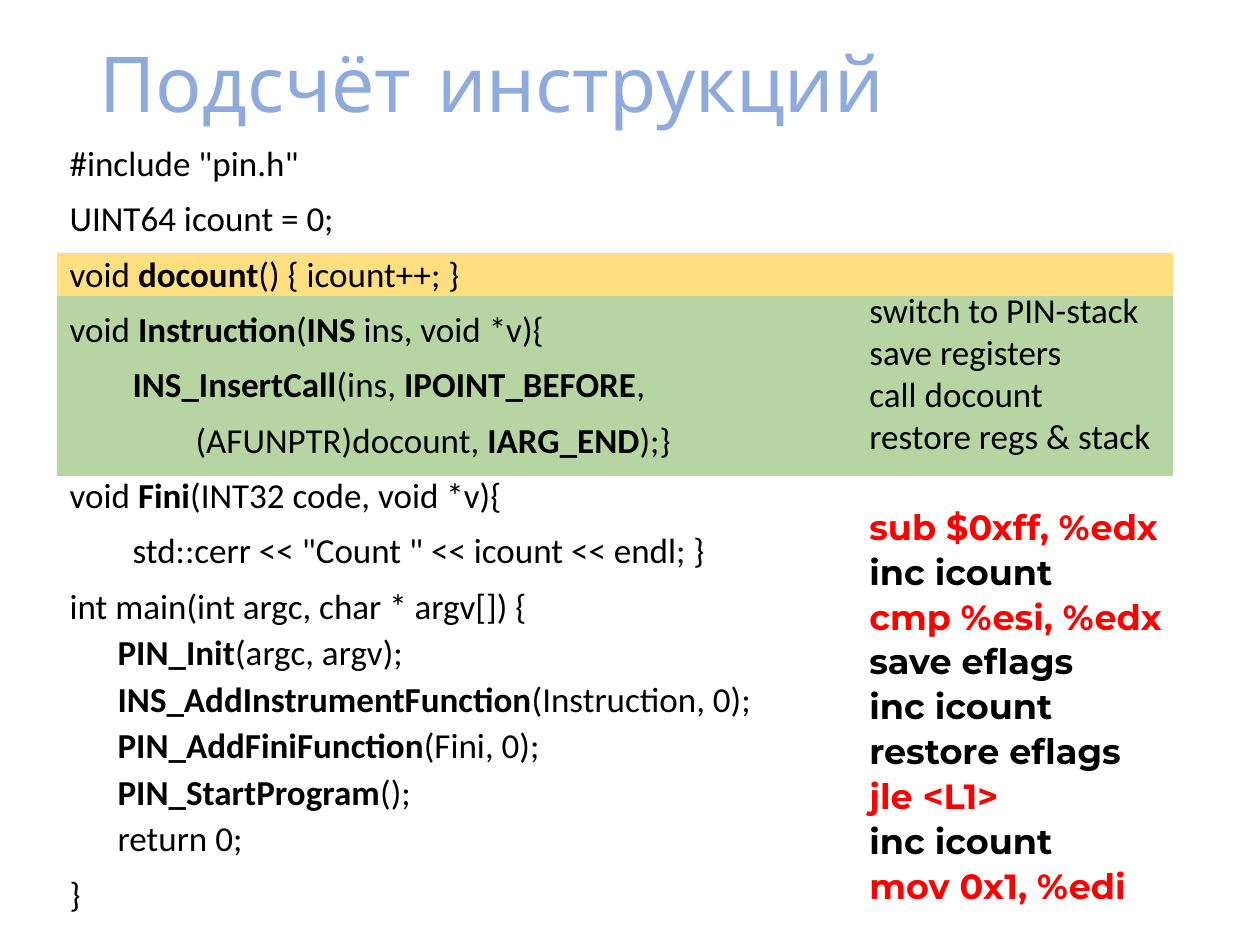
from lxml import etree
from pptx import Presentation
from pptx.dml.color import RGBColor
from pptx.enum.shapes import MSO_SHAPE
from pptx.enum.text import MSO_ANCHOR, MSO_AUTO_SIZE, PP_ALIGN
from pptx.oxml.ns import qn
from pptx.util import Emu, Pt

RECT = MSO_SHAPE.RECTANGLE
LEFT = PP_ALIGN.LEFT
TOP, MIDDLE = MSO_ANCHOR.TOP, MSO_ANCHOR.MIDDLE
NO_FIT, GROW = MSO_AUTO_SIZE.NONE, MSO_AUTO_SIZE.SHAPE_TO_FIT_TEXT

BLACK, RED = "000000", "FF0000"
TITLE = "Подсчёт инструкций"
# Bars enclose the bold parts; the first field is the level.
CODE = [
    (0, '#include "pin.h"'),
    (0, "UINT64 icount = 0;"),
    (0, "void |docount|() { icount++; }"),
    (0, "void |Instruction|(|INS |ins, void *v){"),
    (0, "\t|INS_InsertCall|(ins, |IPOINT_BEFORE|,"),
    (0, "\t\t(AFUNPTR)docount, |IARG_END|);}"),
    (0, "void |Fini|(INT32 code, void *v){"),
    (0, '\tstd::cerr << "Count " << icount << endl; }'),
    (0, "int main(int argc, char * argv[]) {"),
    (1, "|PIN_Init|(argc, argv);"),
    (1, "|INS_AddInstrumentFunction|(Instruction, 0);"),
    (1, "|PIN_AddFiniFunction|(Fini, 0);"),
    (1, "|PIN_StartProgram|();"),
    (1, "return 0;"),
    (0, "}"),
]
STEPS = ["switch to PIN-stack", "save registers", "call docount",
         "restore regs & stack"]
ASM = [
    ("sub $0xff, %edx", RED),
    ("inc icount", BLACK),
    ("cmp %esi, %edx", RED),
    ("save eflags", BLACK),
    ("inc icount", BLACK),
    ("restore eflags", BLACK),
    ("jle <L1>", RED),
    ("inc icount", BLACK),
    ("mov 0x1, %edi", RED),
]
BANDS = [("FFC000", 253, 43), ("70AD47", 296, 180)]  # colour, top, height
EDGE, WIDE = 57, 1116
SIDE = 857
INDENT = 48


def px(n):
    return Emu(round(n * 914400 / 126))


def rgb(code):
    return RGBColor.from_string(code)


def place(shape, *box):
    shape.left, shape.top, shape.width, shape.height = map(px, box)


def style(run, face, size, color, bold=False):
    font = run.font
    font.name, font.size, font.bold = face, Pt(size), bold
    font.color.rgb = rgb(color)


def add_band(slide, color, top, high):
    """Add a half-transparent band behind the text."""
    band = slide.shapes.add_shape(RECT, *map(px, (EDGE, top, WIDE, high)))
    band.shadow.inherit = False
    band.line.fill.background()
    band.fill.solid()
    band.fill.fore_color.rgb = rgb(color)
    tint = band.fill._xPr.find(qn("a:solidFill"))[0]
    etree.SubElement(tint, qn("a:alpha")).set("val", "50000")
    return band


def add_code(body):
    frame = body.text_frame
    frame.auto_size, frame.vertical_anchor = NO_FIT, TOP
    frame.text = "\n".join(line.replace("|", "") for _, line in CODE)
    for para, (level, line) in zip(frame.paragraphs, CODE):
        para.text = ""
        para.level, para.alignment = level, LEFT
        para.line_spacing = 0.9
        para.space_before = Pt(5 if level else 10)
        props = para._p.get_or_add_pPr()
        props.set("marL", str(px(INDENT * level)))
        props.set("indent", "0")
        etree.SubElement(props, qn("a:buNone"))
        for i, part in enumerate(line.split("|")):
            if part:
                run = para.add_run()
                run.text = part
                style(run, "Calibri", 20, BLACK, i % 2 == 1)


def add_list(slide, box, lines, face, bold, gap):
    frame = slide.shapes.add_textbox(*map(px, box)).text_frame
    frame.word_wrap, frame.auto_size = True, GROW
    frame.text = "\n".join(text for text, _ in lines)
    for para, (_, color) in zip(frame.paragraphs, lines):
        para.line_spacing = gap
        style(para.runs[0], face, 20, color, bold)


def main():
    deck = Presentation()
    deck.slide_width, deck.slide_height = px(1260), px(945)
    slide = deck.slides.add_slide(deck.slide_layouts[1])
    title, body = slide.placeholders

    for i, (color, top, high) in enumerate(BANDS):
        band = add_band(slide, color, top, high)
        slide.shapes._spTree.insert(2 + i, band._element)

    place(title, 87, 19, 1086, 137)
    frame = title.text_frame
    frame.text = TITLE
    frame.auto_size, frame.vertical_anchor = NO_FIT, MIDDLE
    para = frame.paragraphs[0]
    para.alignment, para.line_spacing = LEFT, 0.9
    style(para.runs[0], "Comic Neue", 44, "8FAADC")

    place(body, EDGE, 140, WIDE, 786)
    add_code(body)

    add_list(slide, (SIDE, 496, 403, 420), ASM, "Montserrat", True, 1.07)
    steps = [(text, BLACK) for text in STEPS]
    add_list(slide, (SIDE, 282, 318, 183), steps, "Calibri", False, 1.0)
    deck.save("out.pptx")


if __name__ == "__main__":
    main()
